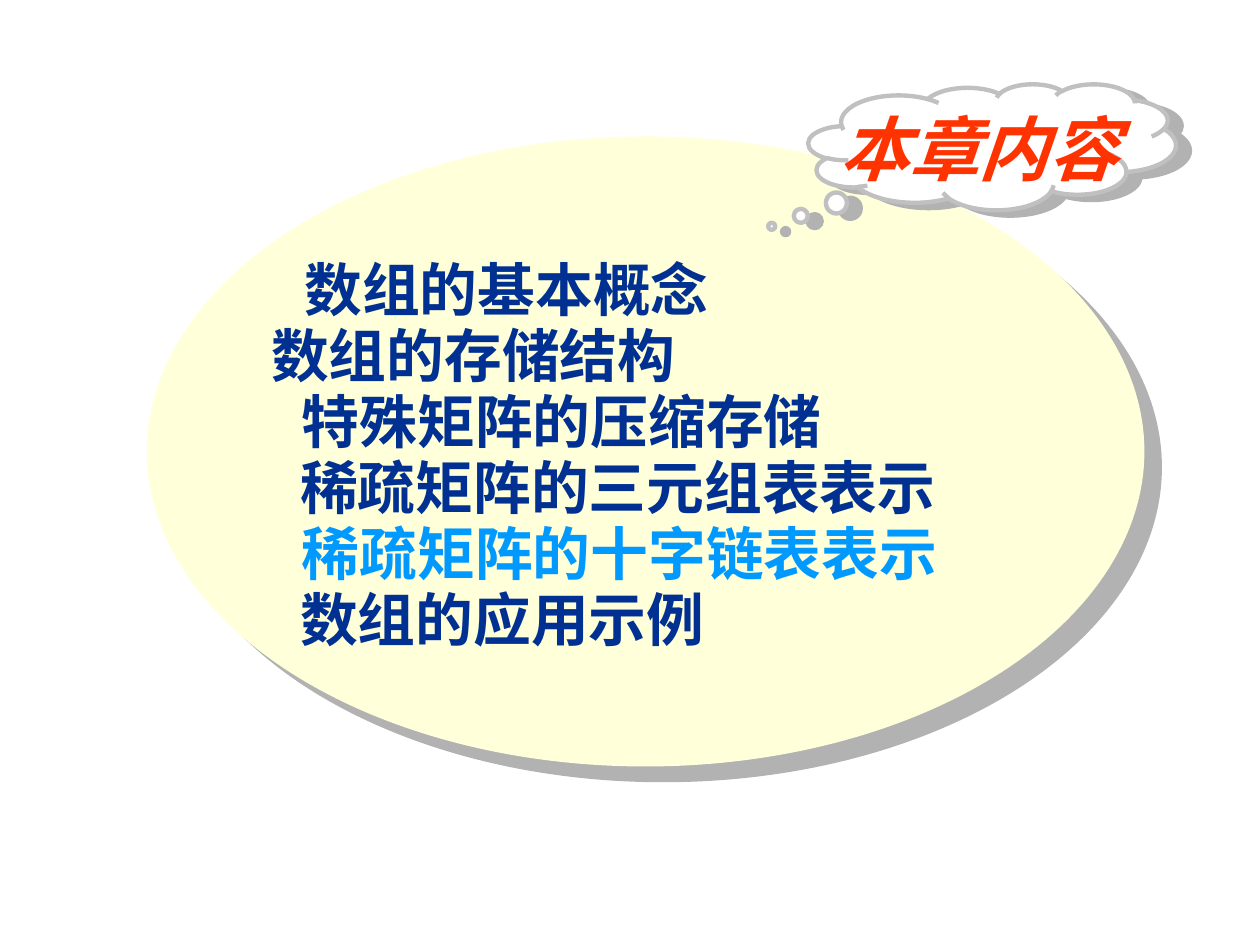
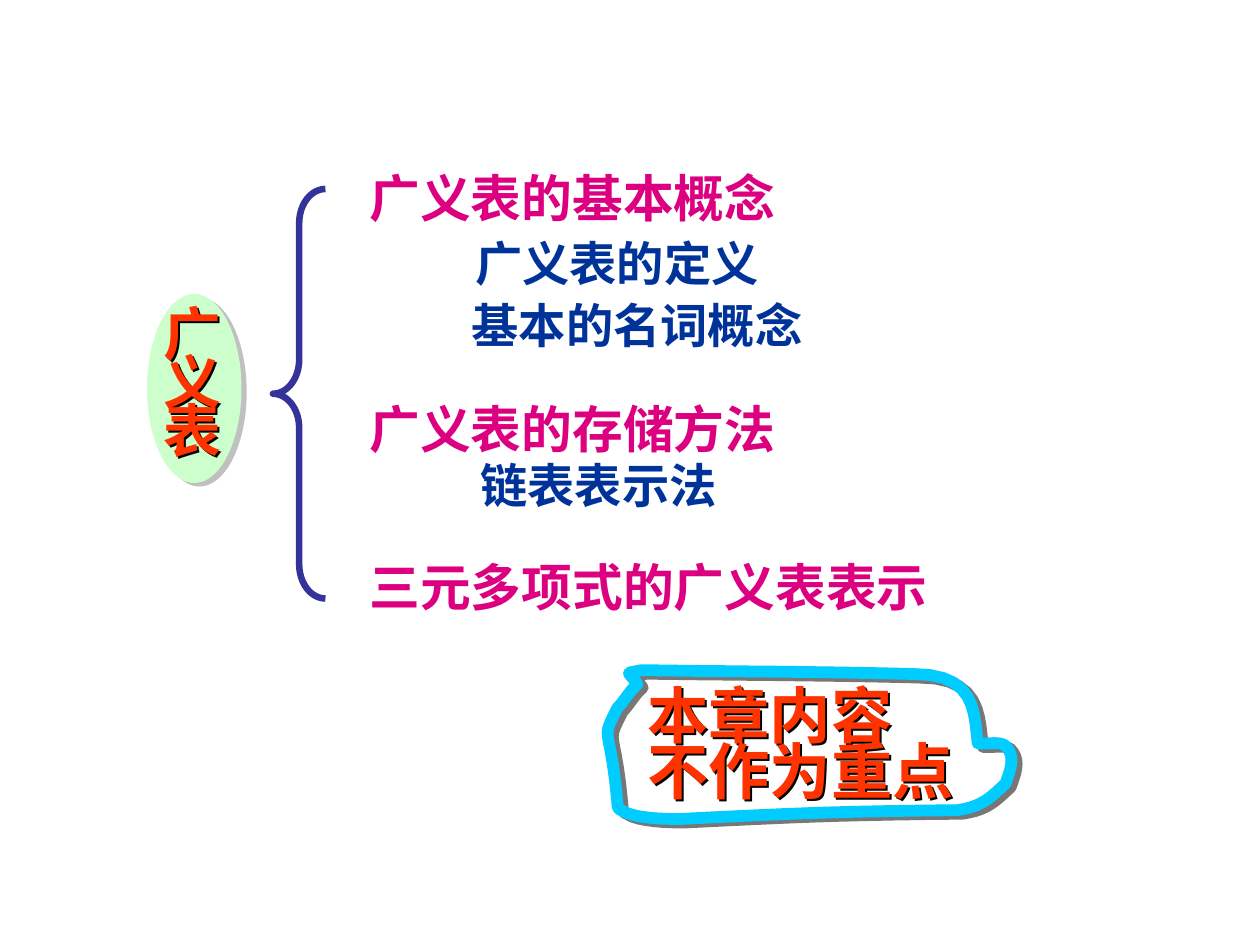
from lxml import etree
from pptx import Presentation
from pptx.dml.color import RGBColor
from pptx.enum import shapes, text
from pptx.oxml import ns
from pptx.util import Pt

# Shared style
NARROW, SANS = "Arial Narrow", "Noto Sans CJK SC"
RED, NAVY, BLUE, PINK, SKY = "FF3300", "003192", "003399", "DC0081", "0099FF"
TEXT_SHADOW = ("000000", 1.6, 45)

# Slide 1: text, left indent, colour
CHAPTER_TITLE = "本章内容"
CHAPTER_TOPICS = [
    ("数组的基本概念", 19, NAVY),
    ("数组的存储结构", 0, NAVY),
    ("特殊矩阵的压缩存储", 17.5, NAVY),
    ("稀疏矩阵的三元组表表示", 16.5, NAVY),
    ("稀疏矩阵的十字链表表示", 17.5, SKY),
    ("数组的应用示例", 16.5, NAVY),
]

# Slide 2: text, left indent, space before, size, colour
LIST_TITLE = "广义表"
LIST_TOPICS = [
    ("广义表的基本概念", 0, 0, 29, PINK),
    ("广义表的定义", 60.5, 6.5, 27, BLUE),
    ("基本的名词概念", 58.5, 5.5, 27, BLUE),
    ("广义表的存储方法", 0, 30, 29, PINK),
    ("链表表示法", 63.5, 1, 27, BLUE),
    ("三元多项式的广义表表示", 0, 29.5, 29, PINK),
]
NOTE_LINES = ["本章内容", "不作为重点"]

# Hand-drawn outline: start point, then two control points and an end per curve
OUTLINE_START = (364.3, 391)
OUTLINE_CURVES = [
    ((359.3, 395.3), (357.1, 400.3), (352.8, 404.6)),
    ((342.7, 424.8), (348.5, 411.1), (352.8, 458.6)),
    ((352.8, 460.1), (352.8, 462.2), (355, 463)),
    ((362.9, 468.7), (388.8, 468), (388.8, 468)),
    ((448.6, 465.1), (473, 463.7), (547.2, 463)),
    ((561.6, 460.8), (565.9, 455.8), (574.6, 447.8)),
    ((576.7, 441.4), (581, 432.7), (574.6, 426.2)),
    ((571, 423.4), (563.8, 425.5), (558.7, 424.8)),
    ((556.6, 406.1), (557.3, 385.2), (522, 385.2)),
    ((470.2, 383.8), (418.3, 383.8), (366.5, 383)),
    ((356.4, 385.2), (358.6, 383), OUTLINE_START),
]
CURVE_STEPS = 10


def color(value):
    return RGBColor.from_string(value)


def set_shadow(shape, value, distance, angle):
    shape.shadow.inherit = False
    effects = shape._element.spPr.find(ns.qn("a:effectLst"))
    outer = etree.SubElement(effects, ns.qn("a:outerShdw"), blurRad="0",
                             dist=str(Pt(distance)), dir=str(angle * 60000),
                             algn="ctr", rotWithShape="0")
    etree.SubElement(outer, ns.qn("a:srgbClr"), val=value)


def paint(shape, fill=None, line=None, width=1, shadow=None):
    shape.shadow.inherit = False
    if fill:
        shape.fill.solid()
        shape.fill.fore_color.rgb = color(fill)
    else:
        shape.fill.background()
    if line:
        shape.line.color.rgb = color(line)
        shape.line.width = Pt(width)
    else:
        shape.line.fill.background()
    if shadow:
        set_shadow(shape, *shadow)


def add_preset(slide, kind, box, **style):
    shape = slide.shapes.add_shape(kind, *map(Pt, box))
    paint(shape, **style)
    return shape


def write(shape, box, rows, font, spacing, italic=False,
          align=text.PP_ALIGN.LEFT):
    """Fill a frame with rows of (text, indent, space before, size, colour)."""
    shape.left, shape.top, shape.width, shape.height = map(Pt, box)
    frame = shape.text_frame
    frame.auto_size = text.MSO_AUTO_SIZE.NONE
    frame.word_wrap = True
    frame.vertical_anchor = text.MSO_ANCHOR.TOP
    frame.margin_left = frame.margin_right = 0
    frame.margin_top = frame.margin_bottom = 0
    frame.text = "\n".join(row[0] for row in rows)
    for paragraph, (_, indent, before, size, value) in zip(frame.paragraphs, rows):
        properties = paragraph._p.get_or_add_pPr()
        properties.set("marL", str(Pt(indent)))
        properties.set("indent", "0")
        etree.SubElement(properties, ns.qn("a:buNone"))
        paragraph.alignment = align
        paragraph.line_spacing = Pt(spacing)
        paragraph.space_before = Pt(before)
        paragraph.space_after = Pt(0)
        paragraph.font.name = font
        paragraph.font.size = Pt(size)
        paragraph.font.bold = True
        paragraph.font.italic = italic
        paragraph.font.color.rgb = color(value)


def bring_to_front(shape):
    shape._element.getparent().append(shape._element)


def outline_points():
    start = OUTLINE_START
    for first, second, end in OUTLINE_CURVES:
        for step in range(1, CURVE_STEPS + 1):
            t = step / CURVE_STEPS
            weights = ((1 - t) ** 3, 3 * t * (1 - t) ** 2,
                       3 * t * t * (1 - t), t ** 3)
            corners = (start, first, second, end)
            yield tuple(Pt(sum(w * corner[axis] for w, corner in zip(weights, corners)))
                        for axis in (0, 1))
        start = end


def build_chapter_slide(slide):
    # Oval and thought cloud
    add_preset(slide, shapes.MSO_SHAPE.OVAL, (84, 78, 570, 360),
               fill="FFFFD9", shadow=("B2B2B2", 13.5, 42))
    cloud = add_preset(slide, shapes.MSO_SHAPE.CLOUD_CALLOUT, (462, 48, 210, 72),
                       fill="FFFFFF", line="C0C0C0", width=2.5,
                       shadow=("B2B2B2", 8.5, 21))
    cloud.adjustments[0], cloud.adjustments[1] = -0.6, 0.63

    # Title and topics
    title, body = slide.placeholders
    write(title, (479.5, 64, 210, 48), [(CHAPTER_TITLE, 0, 0, 40, RED)],
          NARROW, 44, italic=True)
    rows = [(topic, indent, 0, 33, value) for topic, indent, value in CHAPTER_TOPICS]
    write(body, (155, 147, 460, 230), rows, SANS, 37.7)
    bring_to_front(title)
    bring_to_front(body)


def build_list_slide(slide):
    # Topics and brace
    title, body = slide.placeholders
    write(body, (211, 100, 400, 256), LIST_TOPICS, NARROW, 30)
    brace = add_preset(slide, shapes.MSO_SHAPE.LEFT_BRACE, (156, 108, 30, 234),
                       line="333399", width=3.75)
    brace.adjustments[0], brace.adjustments[1] = 0.65, 0.5

    # Vertical title on its oval
    add_preset(slide, shapes.MSO_SHAPE.OVAL, (84, 168, 54, 108),
               fill="CCFFCC", shadow=("C0C0C0", 3.6, 34))
    write(title, (86, 182, 48, 88), [(sign, 0, 0, 33, RED) for sign in LIST_TITLE],
          NARROW, 27.7, align=text.PP_ALIGN.CENTER)
    set_shadow(title, *TEXT_SHADOW)
    bring_to_front(title)

    # Outlined note
    builder = slide.shapes.build_freeform(*map(Pt, OUTLINE_START))
    builder.add_line_segments(list(outline_points()), close=True)
    paint(builder.convert_to_shape(), line="00CCFF", width=6.75,
          shadow=("777777", 3.6, 34))
    note_box = (370, 397, 230, 66)
    note = slide.shapes.add_textbox(*map(Pt, note_box))
    write(note, note_box, [(line, 0, 0, 35, RED) for line in NOTE_LINES], NARROW, 32)
    set_shadow(note, *TEXT_SHADOW)


def main():
    presentation = Presentation()
    presentation.slide_width, presentation.slide_height = Pt(720), Pt(540)
    layout = presentation.slide_layouts[1]
    for build in (build_chapter_slide, build_list_slide):
        build(presentation.slides.add_slide(layout))
    presentation.save("out.pptx")


if __name__ == "__main__":
    main()
